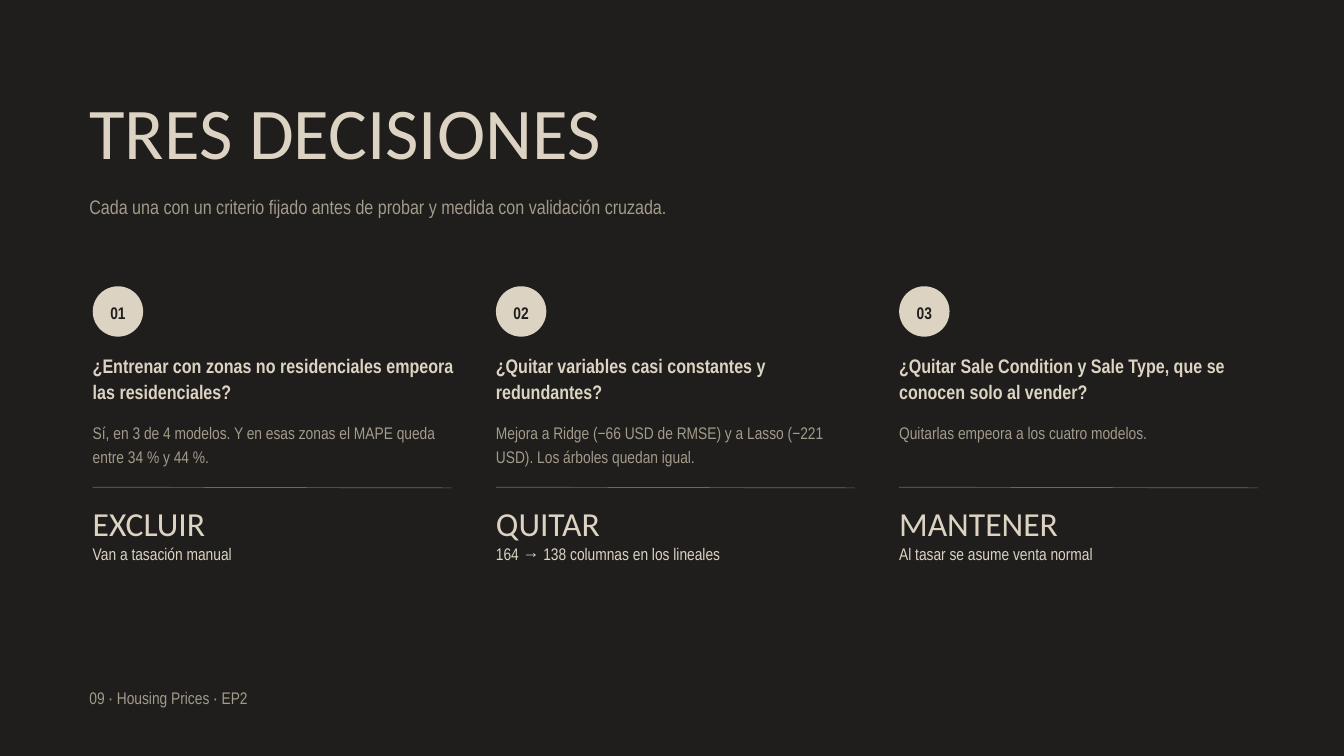
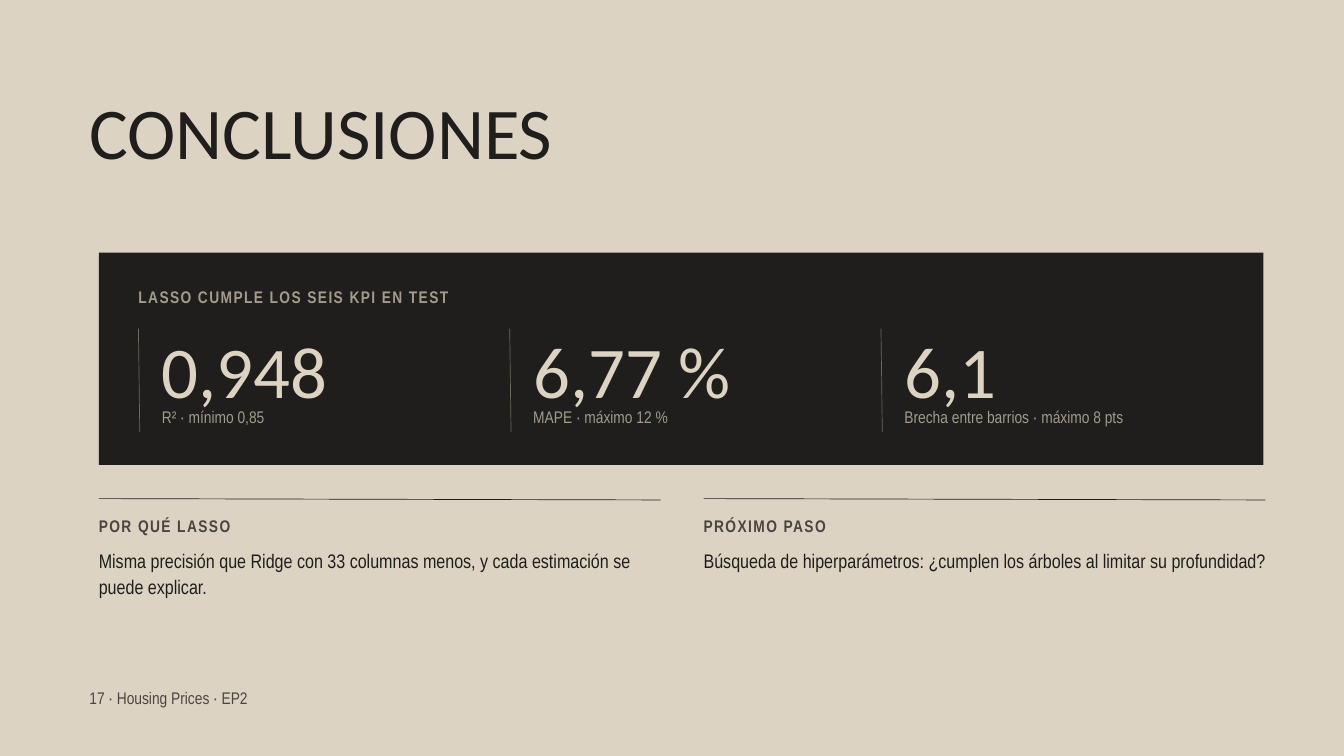
from dataclasses import dataclass

from lxml import etree
from pptx import Presentation
from pptx.dml.color import RGBColor
from pptx.enum.shapes import MSO_CONNECTOR, MSO_SHAPE
from pptx.enum.text import MSO_ANCHOR, MSO_AUTO_SIZE, PP_ALIGN
from pptx.oxml.ns import qn
from pptx.util import Inches, Pt

STRAIGHT = MSO_CONNECTOR.STRAIGHT
OVAL, RECTANGLE = MSO_SHAPE.OVAL, MSO_SHAPE.RECTANGLE
MIDDLE, CENTER = MSO_ANCHOR.MIDDLE, PP_ALIGN.CENTER
GROW = MSO_AUTO_SIZE.SHAPE_TO_FIT_TEXT


@dataclass(frozen=True)
class Style:
    """Type settings, with sizes and leading in points."""
    size: float
    leading: float
    font: str = "Arial Narrow"
    bold: bool = False
    tracking: float = 0


@dataclass(frozen=True)
class Theme:
    """Colours and type styles shared by the slides."""
    ink: str = "1F1E1C"
    sand: str = "DCD3C3"
    stone: str = "A39B8B"
    rule: str = "6E685E"
    umber: str = "4A453F"
    rule_width: float = 0.75
    title: Style = Style(78, 81.9, "Calibri")
    figure: Style = Style(78, 78, "Calibri")
    verdict: Style = Style(36, 39.6, "Calibri")
    lead: Style = Style(21, 28.4)
    question: Style = Style(21, 28.4, bold=True)
    small: Style = Style(18, 25.2)
    badge: Style = Style(18, 25.2, bold=True)
    label: Style = Style(18, 25.2, bold=True, tracking=1.5)


@dataclass(frozen=True)
class Box:
    """A region in inches, which can yield regions relative to itself."""
    left: float
    top: float
    width: float
    height: float

    def inside(self, dx, dy, width, height):
        """Return a region offset from this one's top left corner."""
        return Box(self.left + dx, self.top + dy, width, height)

    def emu(self):
        """Return the four measures as lengths."""
        return [Inches(n) for n in (self.left, self.top, self.width, self.height)]


THEME = Theme()
DECISIONS = [
    ("01", "¿Entrenar con zonas no residenciales empeora las residenciales?",
     "Sí, en 3 de 4 modelos. Y en esas zonas el MAPE queda entre 34 % y 44 %.",
     "EXCLUIR", "Van a tasación manual"),
    ("02", "¿Quitar variables casi constantes y redundantes?",
     "Mejora a Ridge (−66 USD de RMSE) y a Lasso (−221 USD). Los árboles quedan igual.",
     "QUITAR", "164 → 138 columnas en los lineales"),
    ("03", "¿Quitar Sale Condition y Sale Type, que se conocen solo al vender?",
     "Quitarlas empeora a los cuatro modelos.",
     "MANTENER", "Al tasar se asume venta normal"),
]
KPIS = [
    ("0,948", "R² · mínimo 0,85"),
    ("6,77 %", "MAPE · máximo 12 %"),
    ("6,1", "Brecha entre barrios · máximo 8 pts"),
]
TAKEAWAYS = [
    ("POR QUÉ LASSO",
     "Misma precisión que Ridge con 33 columnas menos, y cada estimación se puede explicar."),
    ("PRÓXIMO PASO",
     "Búsqueda de hiperparámetros: ¿cumplen los árboles al limitar su profundidad?"),
]


def write(paragraph, words, style, color):
    """Add one styled run to a paragraph."""
    paragraph.line_spacing = Pt(style.leading)
    run = paragraph.add_run()
    run.text = words
    run.font.name = style.font
    run.font.size = Pt(style.size)
    run.font.bold = style.bold
    run.font.color.rgb = RGBColor.from_string(color)
    if style.tracking:
        run.font._element.set("spc", str(int(style.tracking * 100)))


def set_margins(frame, margin):
    """Give a text frame the same margin on all sides."""
    frame.margin_left = frame.margin_right = Inches(margin)
    frame.margin_top = frame.margin_bottom = Inches(margin)


def add_text(slide, box, words, style, color):
    """Place a wrapped text box without margins."""
    frame = slide.shapes.add_textbox(*box.emu()).text_frame
    frame.word_wrap = True
    frame.auto_size = GROW
    set_margins(frame, 0)
    write(frame.paragraphs[0], words, style, color)


def add_solid(slide, kind, box, color):
    """Place a flat filled shape without outline."""
    solid = slide.shapes.add_shape(kind, *box.emu())
    solid.shadow.inherit = False
    solid.fill.solid()
    solid.fill.fore_color.rgb = RGBColor.from_string(color)
    solid.line.fill.background()
    return solid


def add_rule(slide, box, color):
    """Draw a thin line from the top left to the bottom right of a box."""
    left, top, width, height = box.emu()
    rule = slide.shapes.add_connector(STRAIGHT, left, top, left + width, top + height)
    rule.line.color.rgb = RGBColor.from_string(color)
    rule.line.width = Pt(THEME.rule_width)
    etree.SubElement(rule._element.spPr, qn("a:effectLst"))


def add_page(deck, number, title, ground, title_color, footer_color):
    """Add a slide with its background, title and footer."""
    slide = deck.slides.add_slide(deck.slide_layouts[6])
    slide.background.fill.solid()
    slide.background.fill.fore_color.rgb = RGBColor.from_string(ground)
    add_text(slide, Box(1.33, 1.46, 17.85, 1.05), title, THEME.title, title_color)
    add_text(slide, Box(1.33, 10.18, 8.58, 0.44), f"{number} · Housing Prices · EP2",
             THEME.small, footer_color)
    return slide


def add_decision(slide, box, number, question, evidence, verdict, consequence):
    """Place one numbered decision column."""
    badge = add_solid(slide, OVAL, box.inside(0, 0, 0.75, 0.75), THEME.sand)
    frame = badge.text_frame
    set_margins(frame, 0.06)
    frame.vertical_anchor = MIDDLE
    frame.paragraphs[0].alignment = CENTER
    write(frame.paragraphs[0], number, THEME.badge, THEME.ink)
    add_rule(slide, box.inside(0, 2.99, 5.34, 0.01), THEME.rule)
    for dy, height, words, style, color in (
        (0.96, 0.87, question, THEME.question, THEME.sand),
        (1.98, 0.79, evidence, THEME.small, THEME.stone),
        (3.28, 0.56, verdict, THEME.verdict, THEME.sand),
        (3.78, 0.44, consequence, THEME.small, THEME.sand),
    ):
        add_text(slide, box.inside(0, dy, box.width, height), words, style, color)


def add_kpi(slide, box, figure, caption):
    """Place one figure with its caption beside a vertical rule."""
    add_rule(slide, box.inside(0, 0, 0.02, box.height), THEME.rule)
    add_text(slide, box.inside(0.35, 0.17, 4.9, 0.97), figure, THEME.figure, THEME.sand)
    add_text(slide, box.inside(0.35, 1.12, 4.9, 0.44), caption, THEME.small, THEME.stone)


def add_kpi_panel(slide, box):
    """Place the dark panel with its heading and figures."""
    add_solid(slide, RECTANGLE, box, THEME.ink)
    add_text(slide, box.inside(0.59, 0.45, 16.65, 0.44),
             "LASSO CUMPLE LOS SEIS KPI EN TEST", THEME.label, THEME.stone)
    for index, kpi in enumerate(KPIS):
        add_kpi(slide, box.inside(0.59 + 5.525 * index, 1.13, 5.25, 1.54), *kpi)


def add_takeaway(slide, box, label, finding):
    """Place one labelled finding under a rule."""
    add_rule(slide, box.inside(0, 0, 8.36, 0.02), THEME.ink)
    add_text(slide, box.inside(0, 0.21, box.width, 0.44), label, THEME.label, THEME.umber)
    add_text(slide, box.inside(0, 0.7, box.width, 0.87), finding, THEME.lead, THEME.ink)


def build_decisions(deck):
    """Build the slide of the three decisions."""
    slide = add_page(deck, "09", "TRES DECISIONES", THEME.ink, THEME.sand, THEME.stone)
    add_text(slide, Box(1.33, 2.85, 17.85, 0.48),
             "Cada una con un criterio fijado antes de probar y medida con validación cruzada.",
             THEME.lead, THEME.stone)
    for index, decision in enumerate(DECISIONS):
        add_decision(slide, Box(1.38 + 6 * index, 4.26, 5.49, 4.22), *decision)


def build_conclusions(deck):
    """Build the slide of the conclusions."""
    slide = add_page(deck, "17", "CONCLUSIONES", THEME.sand, THEME.ink, THEME.umber)
    add_kpi_panel(slide, Box(1.47, 3.76, 17.33, 3.16))
    for index, takeaway in enumerate(TAKEAWAYS):
        add_takeaway(slide, Box(1.47 + 9 * index, 7.42, 8.58, 1.57), *takeaway)


def main():
    """Build and save the deck."""
    deck = Presentation()
    deck.slide_width, deck.slide_height = Inches(20), Inches(11.25)
    build_decisions(deck)
    build_conclusions(deck)
    deck.save("out.pptx")


if __name__ == "__main__":
    main()
